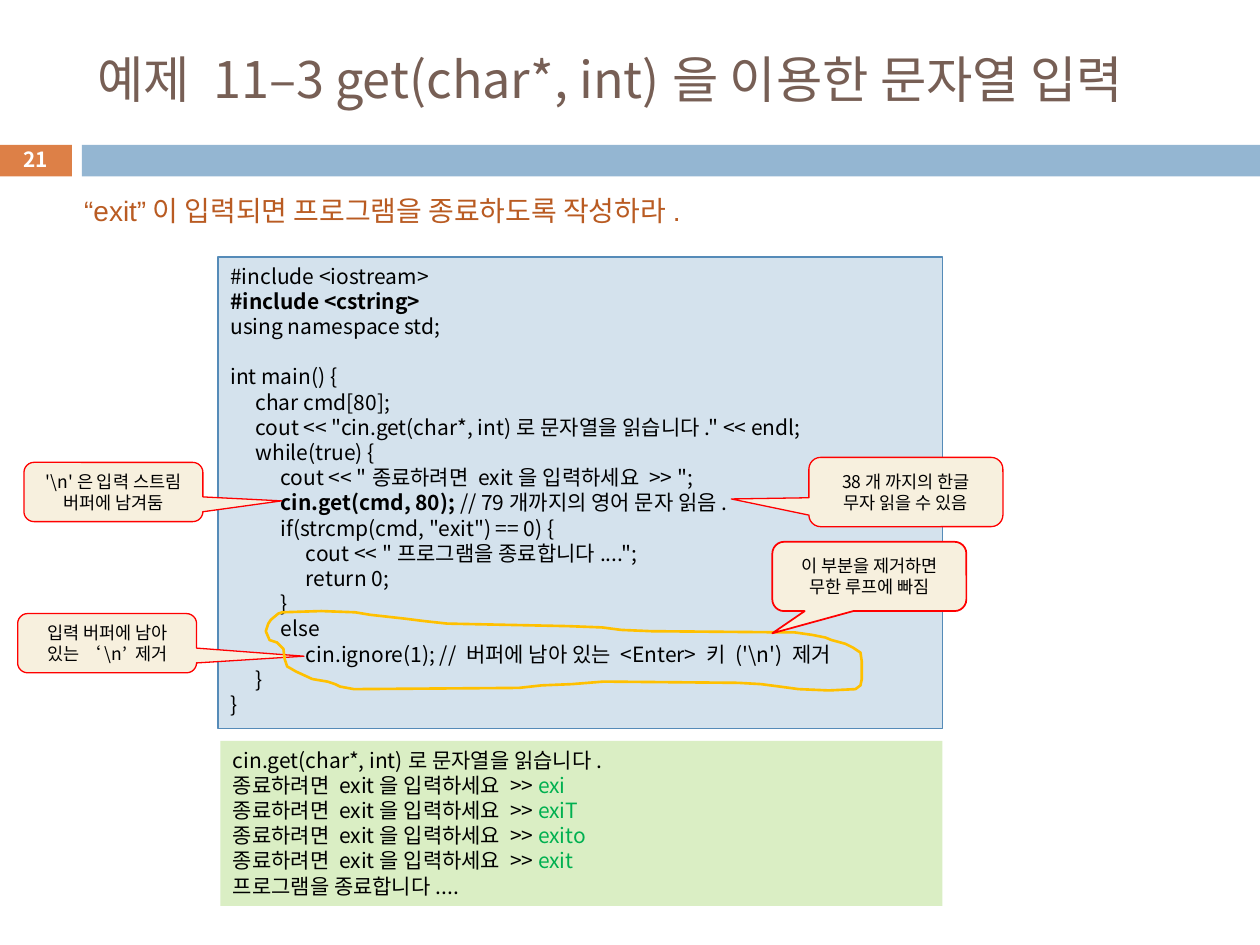
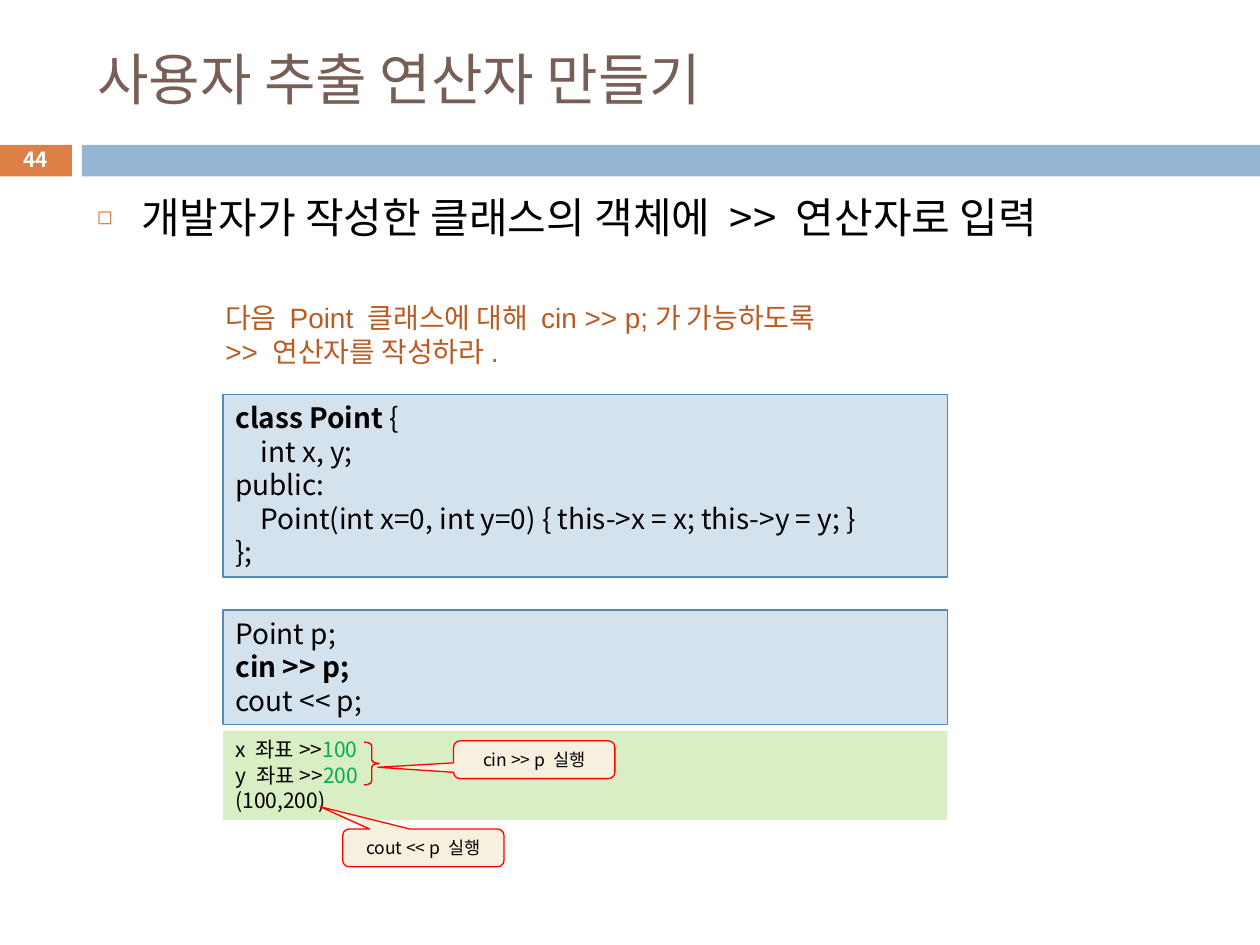
from dataclasses import dataclass

from lxml.etree import SubElement
from pptx import Presentation
from pptx.dml.color import RGBColor
from pptx.enum.shapes import MSO_SHAPE as Preset
from pptx.enum.text import MSO_ANCHOR as Anchor, MSO_AUTO_SIZE as AutoSize, PP_ALIGN as Align
from pptx.oxml.ns import qn
from pptx.util import Pt

PX = 9144


@dataclass(frozen=True)
class Theme:
    """Colours, fonts and type sizes of the deck."""
    title: str = "775F55"
    badge: str = "DD8047"
    band: str = "94B6D2"
    white: str = "FFFFFF"
    ink: str = "000000"
    task: str = "B95B22"
    code_fill: str = "D4E2ED"
    code_line: str = "558BB8"
    output_fill: str = "DAEEC4"
    typed: str = "00B050"
    note_fill: str = "F7F0DE"
    note_line: str = "FF0000"
    marker: str = "FFC000"
    font: str = "Noto Sans CJK KR"
    task_font: str = "Arial"
    title_size: float = 32
    long_title_size: float = 28.8
    body_size: float = 24
    large_size: float = 16
    code_size: float = 12
    number_size: float = 11.9
    note_size: float = 10
    leading: float = 1.2


THEME = Theme()
TITLE_ONLY, TITLE_AND_BODY = 5, 1
TITLE_BOX = (67, 25, 892, 74)
BODY_BOX = (67, 147, 892, 551)
NUMBER_BOX = (-1, 113, 58, 27)
BADGE_BOX = (-1, 115, 58, 25)
BAND_BOX = (65, 115, 935, 25)
TAB_STEP, TAB_COUNT = 20, 3
BULLET_INDENT = 35

MARKER_POINTS = [
    (44, 0), (13, 1), (10, 2), (4, 7), (2, 10), (0, 16), (3, 23), (9, 25), (14, 30),
    (15, 38), (17, 44), (24, 48), (37, 54), (49, 56), (55, 58), (59, 60), (70, 62),
    (201, 61), (219, 59), (243, 58), (268, 56), (375, 57), (393, 58), (408, 60),
    (423, 62), (447, 63), (468, 62), (472, 59), (473, 54), (473, 40), (472, 33),
    (466, 29), (460, 26), (449, 23), (444, 21), (434, 19), (420, 17), (306, 16),
    (282, 15), (267, 13), (240, 12), (144, 10), (126, 8), (110, 6), (92, 4), (83, 3),
    (71, 1),
]

PROMPT = "종료하려면 exit을 입력하세요 >> "
GET_CODE = [
    "#include <iostream>",
    [("#include <cstring>", "bold")],
    "using namespace std;",
    "",
    "int main() {",
    "\tchar cmd[80];",
    '\tcout << "cin.get(char*, int)로 문자열을 읽습니다." << endl;',
    "\twhile(true) {",
    f'\t\tcout << "{PROMPT}";',
    [("\t\t", ""), ("cin.get(cmd, 80); ", "bold"), ("// 79개까지의 영어 문자 읽음.", "")],
    '\t\tif(strcmp(cmd, "exit") == 0) {',
    '\t\t\tcout << "프로그램을 종료합니다....";',
    "\t\t\treturn 0;",
    "\t\t}",
    "\t\telse",
    "\t\t\tcin.ignore(1); // 버퍼에 남아 있는 <Enter> 키 ('\\n') 제거",
    "\t}",
    "}",
]
GET_OUTPUT = [
    "cin.get(char*, int)로 문자열을 읽습니다.",
    *([(PROMPT, ""), (word, "typed")] for word in ("exi", "exiT", "exito", "exit")),
    "프로그램을 종료합니다....",
]
POINT_CLASS = [
    [("class Point ", "bold"), ("{", "")],
    "\tint x, y;",
    "public:",
    "\tPoint(int x=0, int y=0) { this->x = x; this->y = y; }",
    "};",
]
POINT_USE = ["Point p;", [("cin >> p;", "bold")], "cout << p;"]
POINT_OUTPUT = [
    [("x 좌표>>", ""), ("100", "typed")],
    [("y 좌표>>", ""), ("200", "typed")],
    "(100,200)",
]


def assign(target, values):
    """Set each named attribute of the target."""
    for name, value in values.items():
        setattr(target, name, value)


def emu(box):
    """Turn a box in px into EMU lengths."""
    return [length * PX for length in box]


def add_child(parent, tag, **attributes):
    """Append a drawing element with attributes."""
    return SubElement(parent, qn(tag), attributes)


def write(shape, lines, size, color=THEME.ink, font=THEME.font, bold=False,
          align=Align.LEFT, anchor=Anchor.TOP):
    """Fill a shape with paragraphs of styled spans."""
    frame = shape.text_frame
    assign(frame, {
        "word_wrap": True, "auto_size": AutoSize.NONE, "vertical_anchor": anchor,
        "margin_left": 10 * PX, "margin_right": 10 * PX,
        "margin_top": 5 * PX, "margin_bottom": 5 * PX,
    })
    for index, line in enumerate(lines):
        para = frame.add_paragraph() if index else frame.paragraphs[0]
        assign(para, {"alignment": align, "line_spacing": Pt(size * THEME.leading),
                      "space_before": Pt(0)})
        spans = [(line, "")] if isinstance(line, str) else line
        for text, style in spans:
            if not text:
                continue
            span = para.add_run()
            span.text = text
            assign(span.font, {"name": font, "size": Pt(size),
                               "bold": bold or style == "bold"})
            span.font.color.rgb = RGBColor.from_string(
                THEME.typed if style == "typed" else color)
            add_child(span.font._element, "a:ea", typeface=THEME.font)
    return frame


def paint(shape, fill=None, line=None, width=0.75):
    """Give a shape its fill and line, without a shadow."""
    shape.shadow.inherit = False
    if fill:
        shape.fill.solid()
        shape.fill.fore_color.rgb = RGBColor.from_string(fill)
    else:
        shape.fill.background()
    if line:
        shape.line.color.rgb = RGBColor.from_string(line)
        shape.line.width = Pt(width)
    else:
        shape.line.fill.background()


def add_preset(page, preset, box, adjustments=(), **style):
    """Add a painted preset shape."""
    shape = page.shapes.add_shape(preset, *emu(box))
    for index, value in enumerate(adjustments):
        shape.adjustments[index] = value
    paint(shape, **style)
    return shape


def place(shape, box):
    """Move a placeholder to a box."""
    assign(shape, dict(zip(("left", "top", "width", "height"), emu(box))))


def add_page(deck, layout, title, number, title_size=THEME.title_size):
    """Add a slide with title, bands and page number."""
    page = deck.slides.add_slide(deck.slide_layouts[layout])
    place(page.shapes.title, TITLE_BOX)
    write(page.shapes.title, [title], title_size, THEME.title, anchor=Anchor.MIDDLE)
    add_preset(page, Preset.RECTANGLE, BADGE_BOX, fill=THEME.badge)
    add_preset(page, Preset.RECTANGLE, BAND_BOX, fill=THEME.band)
    write(page.shapes.add_textbox(*emu(NUMBER_BOX)), [number], THEME.number_size,
          THEME.white, bold=True, align=Align.CENTER, anchor=Anchor.MIDDLE)
    return page


def add_body(page, lines):
    """Fill the body placeholder with a square-bulleted list."""
    body = page.placeholders[1]
    place(body, BODY_BOX)
    for para in write(body, lines, THEME.body_size).paragraphs:
        props = para._p.get_or_add_pPr()
        props.set("marL", str(BULLET_INDENT * PX))
        props.set("indent", str(-BULLET_INDENT * PX))
        add_child(add_child(props, "a:buClr"), "a:srgbClr", val=THEME.badge)
        add_child(props, "a:buSzPct", val="60000")
        add_child(props, "a:buChar", char="◻")


def add_code(page, box, lines, size):
    """Add a code panel with even tab stops."""
    panel = add_preset(page, Preset.RECTANGLE, box, fill=THEME.code_fill,
                       line=THEME.code_line)
    for para in write(panel, lines, size).paragraphs:
        tabs = add_child(para._p.get_or_add_pPr(), "a:tabLst")
        for stop in range(1, TAB_COUNT + 1):
            add_child(tabs, "a:tab", pos=str(stop * TAB_STEP * PX), algn="l")


def add_output(page, box, lines):
    """Add a panel of program output."""
    panel = add_preset(page, Preset.RECTANGLE, box, fill=THEME.output_fill)
    write(panel, lines, THEME.code_size)


def add_task(page, box, lines):
    """Add the wording of the exercise."""
    write(page.shapes.add_textbox(*emu(box)), lines, THEME.large_size, THEME.task,
          THEME.task_font)


def add_note(page, box, tip, text, width=0.75):
    """Add a callout whose tip is a share of its size from its centre."""
    note = add_preset(page, Preset.ROUNDED_RECTANGULAR_CALLOUT, box, (*tip, 0.17),
                      fill=THEME.note_fill, line=THEME.note_line, width=width)
    write(note, [text], THEME.note_size, align=Align.CENTER, anchor=Anchor.MIDDLE)


def add_marker(page, left, top):
    """Draw the hand-drawn loop from its top left corner."""
    start, *others = MARKER_POINTS
    builder = page.shapes.build_freeform(*start, scale=PX)
    builder.add_line_segments(others, close=True)
    loop = builder.convert_to_shape(left * PX, top * PX)
    paint(loop, line=THEME.marker, width=1.5)


def build_get_page(deck):
    """Build the example of reading strings with get."""
    page = add_page(deck, TITLE_ONLY, "예제 11–3 get(char*, int)을 이용한 문자열 입력",
                    "21", THEME.long_title_size)
    add_code(page, (173, 204, 575, 374), GET_CODE, THEME.code_size)
    add_output(page, (175, 588, 573, 131), GET_OUTPUT)
    add_note(page, (19, 367, 142, 47), (0.94, 0.15), "'\\n'은 입력 스트림 버퍼에 남겨둠")
    add_note(page, (14, 487, 142, 47), (1.1, 0.22), "입력 버퍼에 남아 있는 ‘\\n’ 제거")
    add_marker(page, 211, 485)
    add_note(page, (613, 430, 154, 55), (-0.5, 0.82),
             "이 부분을 제거하면 무한 루프에 빠짐", width=1)
    add_note(page, (642, 363, 154, 55), (-0.9, 0.1), "38개 까지의 한글 무자 읽을 수 있음")
    add_task(page, (57, 149, 535, 37), ["“exit”이 입력되면 프로그램을 종료하도록 작성하라."])


def build_point_page(deck):
    """Build the exercise on a user-made extraction operator."""
    page = add_page(deck, TITLE_AND_BODY, "사용자 추출 연산자 만들기", "44")
    add_body(page, ["개발자가 작성한 클래스의 객체에 >> 연산자로 입력"])
    add_code(page, (177, 313, 575, 145), POINT_CLASS, THEME.large_size)
    add_code(page, (177, 484, 575, 91), POINT_USE, THEME.large_size)
    add_task(page, (169, 234, 622, 64),
             ["다음 Point 클래스에 대해 cin >> p;가 가능하도록", ">> 연산자를 작성하라."])
    add_output(page, (177, 580, 575, 71), POINT_OUTPUT)
    add_note(page, (360, 588, 128, 30), (-0.97, 0.2), "cin >> p 실행")
    add_note(page, (272, 658, 128, 30), (-0.64, -1.09), "cout << p 실행")
    add_preset(page, Preset.RIGHT_BRACE, (289, 589, 12, 34), (0.25, 0.5),
               line=THEME.note_line, width=0.79)


def main():
    """Build and save the deck."""
    deck = Presentation()
    assign(deck, {"slide_width": 1000 * PX, "slide_height": 750 * PX})
    build_get_page(deck)
    build_point_page(deck)
    deck.save("out.pptx")


if __name__ == "__main__":
    main()
